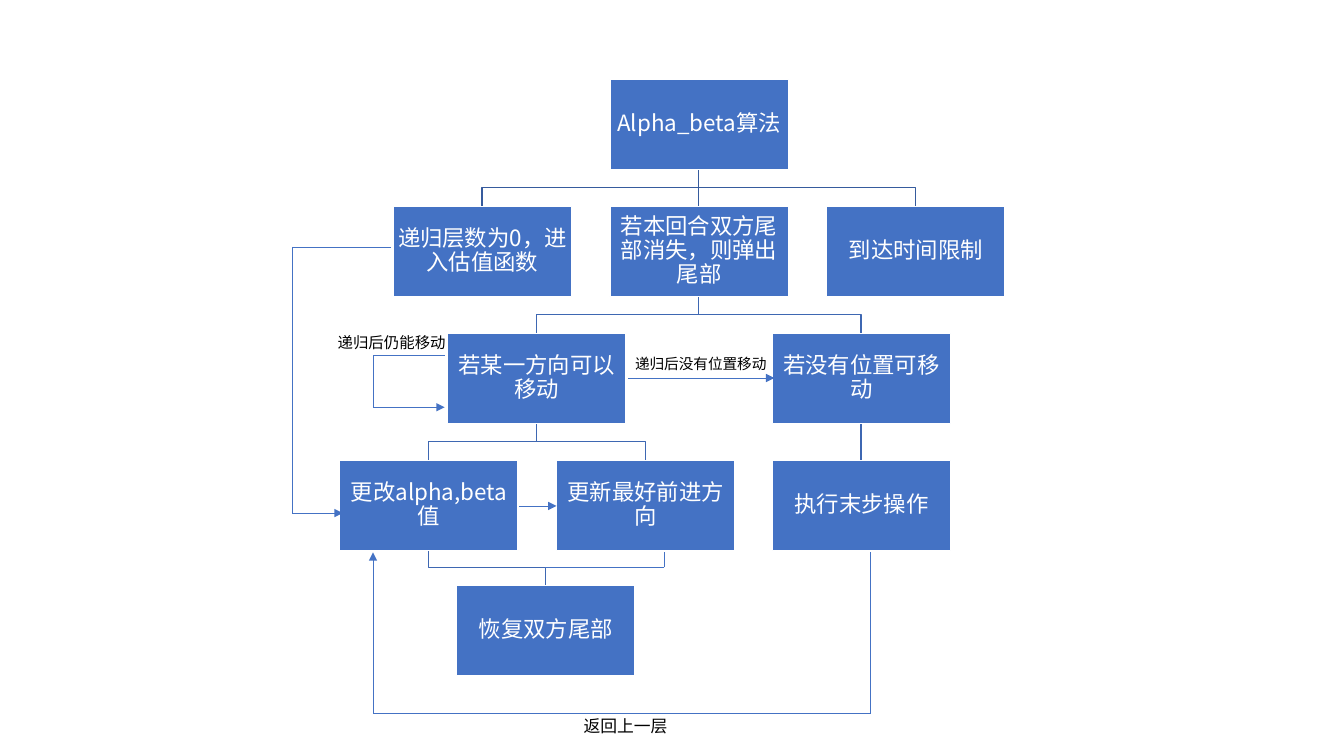
from dataclasses import dataclass

from lxml import etree
from pptx import Presentation
from pptx import util as u
from pptx.dml.color import RGBColor
from pptx.enum import shapes, text
from pptx.oxml import ns

PX = 9144  # EMU per px, 100 px to the inch


@dataclass(frozen=True)
class Theme:
    font: str = "Noto Sans CJK SC"
    box: str = "4472C4"
    white: str = "FFFFFF"
    black: str = "000000"
    trunk: str = "365B9D"
    branch: str = "3E67B2"
    box_size: float = 16
    thin: float = 0.5
    thick: float = 1


@dataclass(frozen=True)
class Step:
    words: str
    center: int
    top: int


@dataclass(frozen=True)
class Branch:
    parent: Step
    child: Step
    color: str


@dataclass(frozen=True)
class Route:
    points: tuple[tuple[int, int], ...]
    arrow: bool = True


@dataclass(frozen=True)
class Label:
    words: str
    left: int
    top: int
    width: int
    height: int
    size: float


THEME = Theme()
STEP_W, STEP_H = 177, 89

# Steps, by level of the tree
ROWS = (79, 205, 331, 457, 581)
root = Step("Alpha_beta算法", 693, ROWS[0])
depth_zero = Step("递归层数为0，进入估值函数", 478, ROWS[1])
tails_gone = Step("若本回合双方尾部消失，则弹出尾部", 693, ROWS[1])
time_limit = Step("到达时间限制", 908, ROWS[1])
can_move = Step("若某一方向可以移动", 532, ROWS[2])
no_move = Step("若没有位置可移动", 854, ROWS[2])
change_bounds = Step("更改alpha,beta值", 425, ROWS[3])
best_direction = Step("更新最好前进方向", 640, ROWS[3])
last_step = Step("执行末步操作", 854, ROWS[3])
restore_tails = Step("恢复双方尾部", 541, ROWS[4])

STEPS = (root, depth_zero, tails_gone, time_limit, can_move, no_move,
         change_bounds, best_direction, last_step, restore_tails)

TREE = {
    root: (depth_zero, tails_gone, time_limit),
    tails_gone: (can_move, no_move),
    can_move: (change_bounds, best_direction),
    no_move: (last_step,),
    change_bounds: (restore_tails,),
}
BRANCHES = [Branch(parent, child, THEME.trunk if parent is root else THEME.branch)
            for parent, children in TREE.items() for child in children]

ROUTES = (
    Route(((388, 245), (290, 245), (290, 509), (340, 509))),
    Route(((515, 502), (552, 502))),
    Route(((441, 353), (370, 353), (370, 404), (441, 404))),
    Route(((623, 375), (768, 375))),
    Route(((863, 548), (863, 708), (370, 708), (370, 548))),
    Route(((659, 548), (659, 563), (541, 563)), arrow=False),
)

LABELS = (
    Label("递归后仍能移动", 325, 326, 128, 29, 11),
    Label("递归后没有位置移动", 620, 347, 152, 28, 10.5),
    Label("返回上一层", 569, 705, 180, 30, 12),
)


def write(shape, words: str, *, size: float, color: str, align=text.PP_ALIGN.LEFT,
          anchor=text.MSO_ANCHOR.TOP, inset: int | None = None,
          spacing: float | None = None) -> None:
    frame = shape.text_frame
    frame.word_wrap = True
    frame.vertical_anchor = anchor
    if inset is not None:
        frame.margin_left = frame.margin_right = inset * PX
        frame.margin_top = frame.margin_bottom = inset * PX
    paragraph = frame.paragraphs[0]
    paragraph.alignment = align
    paragraph.line_spacing = spacing
    run = paragraph.add_run()
    run.text = words
    run.font.size = u.Pt(size)
    run.font.name = THEME.font
    run.font.color.rgb = RGBColor.from_string(color)
    east_asian = etree.SubElement(run.font._element, ns.qn("a:ea"))
    east_asian.set("typeface", THEME.font)


def set_line(shape, color: str, width: float) -> None:
    shape.line.color.rgb = RGBColor.from_string(color)
    shape.line.width = u.Pt(width)


def draw_segment(slide, start: tuple[int, int], end: tuple[int, int],
                 color: str, width: float, arrow: bool = False) -> None:
    segment = slide.shapes.add_connector(
        shapes.MSO_CONNECTOR.STRAIGHT, *(v * PX for v in start + end))
    set_line(segment, color, width)
    if arrow:
        head = etree.SubElement(segment.line._get_or_add_ln(), ns.qn("a:tailEnd"))
        head.set("type", "triangle")
    etree.SubElement(segment._element.spPr, ns.qn("a:effectLst"))


def draw_branch(slide, branch: Branch) -> None:
    start = (branch.parent.center, branch.parent.top + STEP_H)
    end = (branch.child.center, branch.child.top)
    if start[0] == end[0]:
        draw_segment(slide, start, end, branch.color, THEME.thick)
        return
    middle = (start[1] + end[1]) // 2
    builder = slide.shapes.build_freeform(*start, scale=PX)
    builder.add_line_segments([(start[0], middle), (end[0], middle), end], close=False)
    elbow = builder.convert_to_shape()
    elbow.shadow.inherit = False
    elbow.fill.background()
    set_line(elbow, branch.color, THEME.thick)


def draw_step(slide, step: Step) -> None:
    box = slide.shapes.add_shape(
        shapes.MSO_SHAPE.RECTANGLE, (step.center - STEP_W // 2) * PX, step.top * PX,
        STEP_W * PX, STEP_H * PX)
    box.shadow.inherit = False
    box.fill.solid()
    box.fill.fore_color.rgb = RGBColor.from_string(THEME.box)
    set_line(box, THEME.white, THEME.thick)
    write(box, step.words, size=THEME.box_size, color=THEME.white, inset=1,
          align=text.PP_ALIGN.CENTER, anchor=text.MSO_ANCHOR.MIDDLE, spacing=0.9)


def draw_route(slide, route: Route) -> None:
    for start, end in zip(route.points, route.points[1:]):
        is_last = end == route.points[-1]
        draw_segment(slide, start, end, THEME.box, THEME.thin, route.arrow and is_last)


def draw_label(slide, label: Label) -> None:
    caption = slide.shapes.add_textbox(
        label.left * PX, label.top * PX, label.width * PX, label.height * PX)
    write(caption, label.words, size=label.size, color=THEME.black)


def main() -> None:
    deck = Presentation()
    deck.slide_width, deck.slide_height = 1333 * PX, 750 * PX
    slide = deck.slides.add_slide(deck.slide_layouts[6])

    # Tree
    for branch in BRANCHES:
        draw_branch(slide, branch)
    for step in STEPS:
        draw_step(slide, step)

    # Flow between the steps
    for route in ROUTES:
        draw_route(slide, route)
    for label in LABELS:
        draw_label(slide, label)

    deck.save("out.pptx")


if __name__ == "__main__":
    main()
